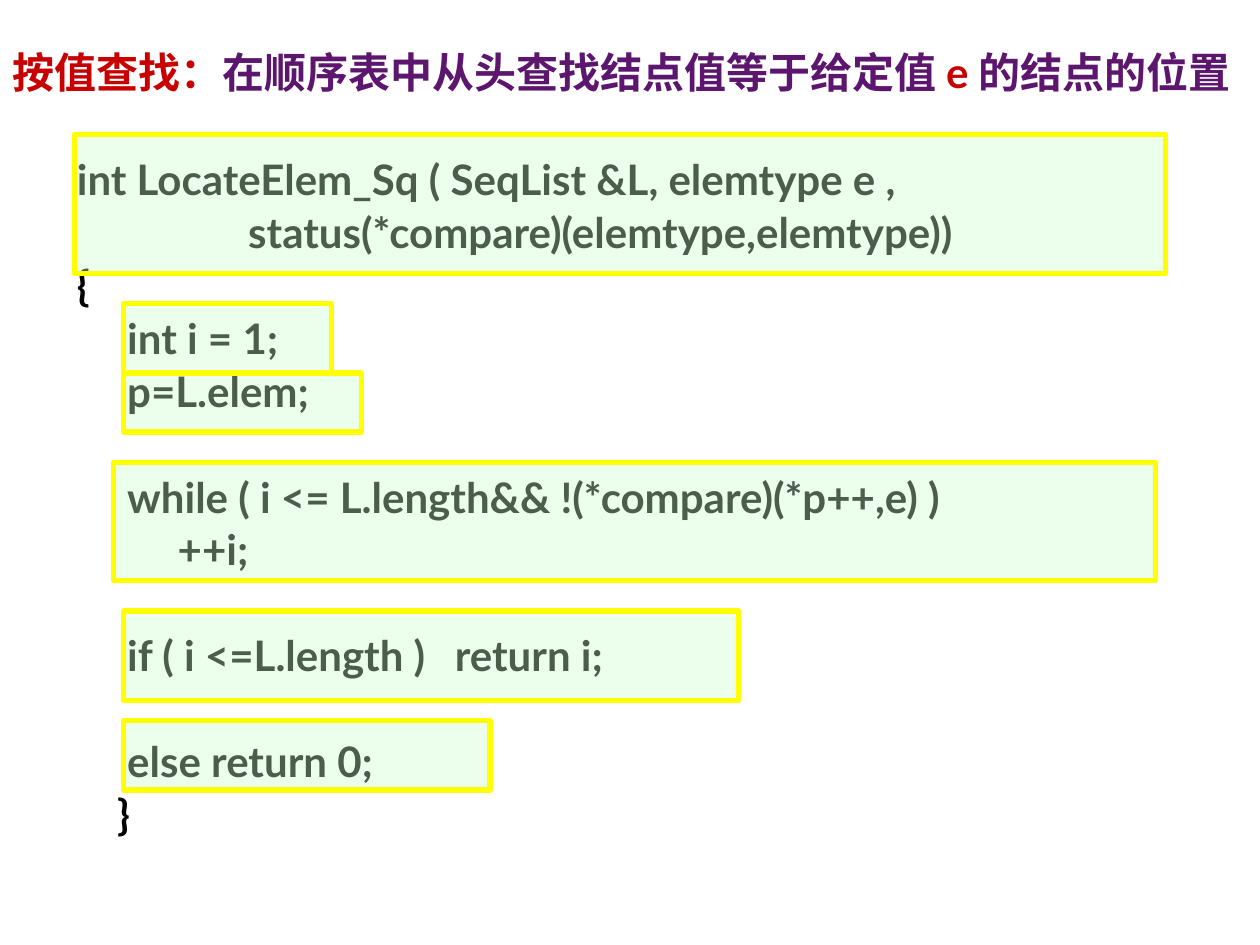
"""Build a slide explaining how to search a sequential list by value."""
from dataclasses import dataclass
from typing import NamedTuple

from lxml.etree import SubElement
from pptx import Presentation
from pptx.dml.color import RGBColor
from pptx.enum.shapes import MSO_SHAPE as Preset
from pptx.enum.text import MSO_ANCHOR as Anchor, MSO_AUTO_SIZE as AutoSize, PP_ALIGN as Align
from pptx.oxml.ns import qn
from pptx.util import Inches, Pt


@dataclass(frozen=True)
class Theme:
    """Colours, type and line sizes."""
    font: str = "Lato"
    size: int = 24
    leading: float = 1.05
    blank_line: float = 30.24
    term: str = "C80000"
    heading: str = "5D166E"
    code: str = "000000"
    fill: str = "CCFFCC"
    opacity: int = 37
    border: str = "FFFF00"
    border_width: int = 3


class Area(NamedTuple):
    """A place on a grid of 100 columns by 75 rows."""
    column: float
    row: float
    columns: float
    rows: float


class CodeLine(NamedTuple):
    """One line of code with its indent in characters."""
    text: str
    indent: int = 0
    blank_before: bool = False


THEME = Theme()
CELL = 0.1
CHARACTER = 0.08
RETURN_TAB = 3.08
TITLE_AREA = Area(0, 2.8, 100, 5.4)
CODE_AREA = Area(5.1, 11.5, 92.1, 57.5)
TITLE_SPANS = (
    ("按值查找：", THEME.term),
    ("在顺序表中从头查找结点值等于给定值 ", THEME.heading),
    ("e ", THEME.term),
    ("的结点的位置", THEME.heading),
)
CODE_LINES = (
    CodeLine("int LocateElem_Sq ( SeqList &L, elemtype e ,"),
    CodeLine("status(*compare)(elemtype,elemtype))", 17),
    CodeLine("{"),
    CodeLine("int i = 1;", 5),
    CodeLine("p=L.elem;", 5),
    CodeLine("while ( i <= L.length&& !(*compare)(*p++,e) )", 5, True),
    CodeLine("++i;", 10),
    CodeLine("if ( i <=L.length )\treturn i;", 5, True),
    CodeLine("else return 0;", 5, True),
    CodeLine("}", 4),
)
STEP = 9.8
HIGHLIGHTS = (
    Area(5.9, 10.7, 86.6, 11),
    Area(STEP, 24.1, 16.5, 5.5),
    Area(STEP, 29.6, 18.9, 4.7),
    Area(9, 36.7, 82.7, 9.4),
    Area(STEP, 48.5, 48.8, 7.1),
    Area(STEP, 57.2, 29.1, 5.5),
)


def measure(area: Area) -> list[int]:
    """Turn grid units into lengths."""
    return [Inches(units * CELL) for units in area]


def place(box, area: Area, anchor: Anchor) -> None:
    """Move a placeholder and fix its text frame."""
    box.left, box.top, box.width, box.height = measure(area)
    frame = box.text_frame
    frame.word_wrap = True
    frame.auto_size = AutoSize.NONE
    frame.vertical_anchor = anchor


def style(span, color: str) -> None:
    """Give a run the slide's type and a colour."""
    span.font.name = THEME.font
    span.font.size = Pt(THEME.size)
    span.font.bold = True
    span.font.color.rgb = RGBColor.from_string(color)


def write_title(box) -> None:
    """Write the two-coloured title."""
    place(box, TITLE_AREA, Anchor.BOTTOM)
    para = box.text_frame.paragraphs[0]
    para.alignment = Align.LEFT
    for text, color in TITLE_SPANS:
        span = para.add_run()
        span.text = text
        style(span, color)


def format_line(para, line: CodeLine) -> None:
    """Set a code line's spacing, indent, tab stop and type."""
    para.alignment = Align.LEFT
    para.line_spacing = THEME.leading
    para.space_before = Pt(THEME.blank_line if line.blank_before else 0)
    para.space_after = Pt(0)
    properties = para._p.get_or_add_pPr()
    properties.set("marL", "0")
    properties.set("indent", str(Inches(line.indent * CHARACTER)))
    SubElement(properties, qn("a:buNone"))
    if "\t" in line.text:
        stops = SubElement(properties, qn("a:tabLst"))
        SubElement(stops, qn("a:tab"), pos=str(Inches(RETURN_TAB)), algn="l")
    for span in para.runs:
        style(span, THEME.code)


def write_code(box) -> None:
    """Write the function into the body placeholder."""
    place(box, CODE_AREA, Anchor.TOP)
    frame = box.text_frame
    frame.text = "\n".join(line.text for line in CODE_LINES)
    for para, line in zip(frame.paragraphs, CODE_LINES):
        format_line(para, line)


def draw_highlight(page, area: Area) -> None:
    """Draw a translucent bordered box over the code."""
    box = page.shapes.add_shape(Preset.RECTANGLE, *measure(area))
    box.shadow.inherit = False
    box.fill.solid()
    box.fill.fore_color.rgb = RGBColor.from_string(THEME.fill)
    color = box._element.spPr.find(qn("a:solidFill")).find(qn("a:srgbClr"))
    SubElement(color, qn("a:alpha"), val=str(THEME.opacity * 1000))
    box.line.color.rgb = RGBColor.from_string(THEME.border)
    box.line.width = Pt(THEME.border_width)


def main() -> None:
    """Build and save the deck."""
    deck = Presentation()
    deck.slide_width, deck.slide_height = Inches(100 * CELL), Inches(75 * CELL)
    page = deck.slides.add_slide(deck.slide_layouts[1])
    write_title(page.shapes.title)
    write_code(page.placeholders[1])
    for area in HIGHLIGHTS:
        draw_highlight(page, area)
    deck.save("out.pptx")


if __name__ == "__main__":
    main()
